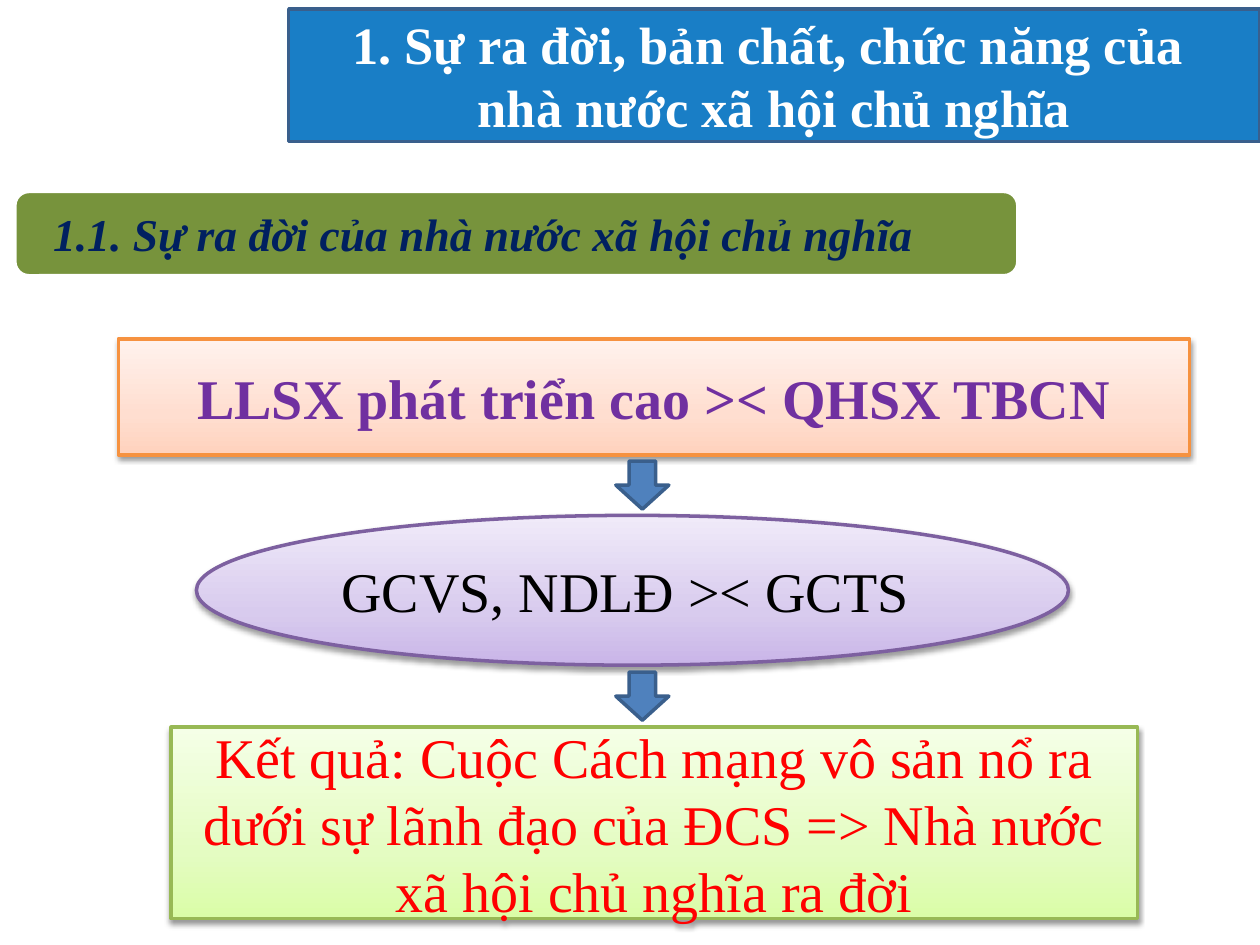
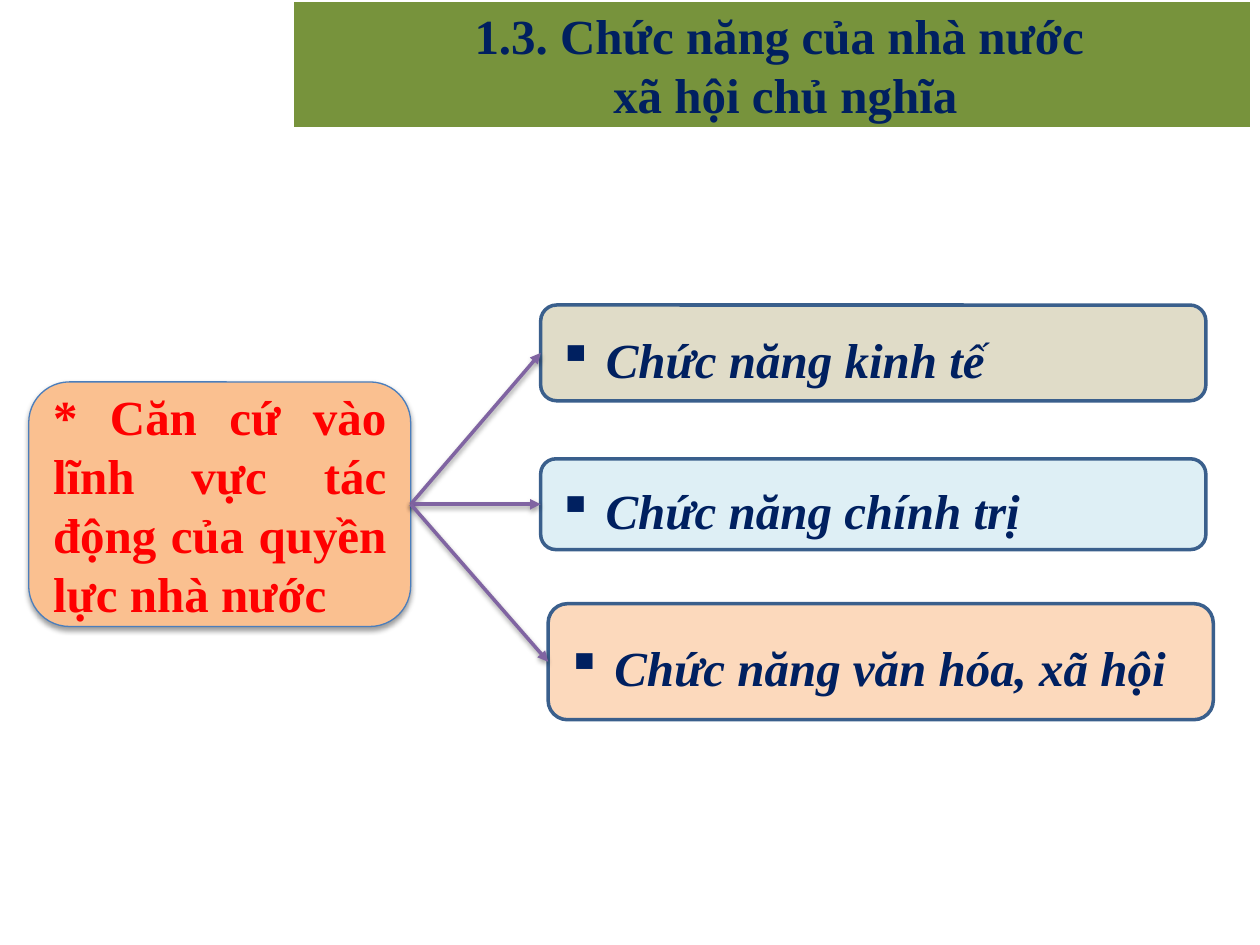
"""Builds two slides on the origin and functions of the socialist state."""
from copy import deepcopy
from dataclasses import dataclass

from lxml.etree import SubElement
from pptx import Presentation
from pptx.dml.color import RGBColor
from pptx.enum.shapes import MSO_CONNECTOR, MSO_SHAPE
from pptx.enum.text import MSO_ANCHOR, MSO_AUTO_SIZE, PP_ALIGN
from pptx.oxml.ns import qn
from pptx.util import Cm, Pt


@dataclass(frozen=True)
class Theme:
    font: str = "Times New Roman"
    blue: str = "0070C0"
    green: str = "77933C"
    white: str = "FFFFFF"
    black: str = "000000"
    navy: str = "002060"
    purple: str = "7030A0"
    red: str = "FF0000"
    outline: str = "3A5F8C"
    arrow: str = "4F81BD"
    link: str = "8064A2"
    cause_fill: str = "FAC090"
    cause_line: str = "4B7EBC"
    flow_size: int = 32
    banner_size: int = 30
    heading_size: int = 28
    section_size: int = 26
    line: float = 2


THEME = Theme()

BANNER = ("1. Sự ra đời, bản chất, chức năng của \nnhà nước xã hội chủ nghĩa", (5.82, 0.18, 19.58, 2.67))
SECTION = ("1.1. Sự ra đời của nhà nước xã hội chủ nghĩa", (0.3, 3.86, 20.22, 1.7))
FLOW = [
    dict(text="LLSX phát triển cao >< QHSX TBCN", outline=MSO_SHAPE.RECTANGLE,
         place=(2.39, 6.83, 21.59, 2.34), color=THEME.purple, bold=True,
         edge="F69240", shades=("FFD2BD", "FFDED0", "FFF2ED")),
    dict(text="GCVS, NDLĐ >< GCTS ", outline=MSO_SHAPE.OVAL,
         place=(3.96, 10.39, 17.58, 3.02), color=THEME.black, bold=False,
         edge="7D60A0", shades=("C9B5E8", "D8CBEE", "F0EAF9")),
    dict(text="Kết quả: Cuộc Cách mạng vô sản nổ ra dưới sự lãnh đạo của ĐCS => "
              "Nhà nước xã hội chủ nghĩa ra đời", outline=MSO_SHAPE.RECTANGLE,
         place=(3.45, 14.66, 19.48, 3.86), color=THEME.red, bold=False,
         edge="98B955", shades=("DAFDA7", "E4FCC2", "F5FFE7")),
]
SHADE_STOPS = (0, 0.35, 1)
ARROW_CENTER, ARROW_WIDTH, ARROW_HEIGHT = 12.95, 1.07, 0.97

HEADING = ("1.3. Chức năng của nhà nước \nxã hội chủ nghĩa", (5.89, 0, 19.35, 2.59))
CAUSE = ("* Căn cứ vào lĩnh vực tác động của quyền lực nhà nước", (0.58, 7.7, 7.7, 4.93))
FUNCTIONS = [
    ("Chức năng kinh tế", (10.9, 6.15, 13.41, 1.93), "DDD9C3"),
    ("Chức năng chính trị", (10.9, 9.25, 13.41, 1.83), "DBEEF4"),
    ("Chức năng văn hóa, xã hội", (11.05, 12.17, 13.41, 2.34), "FCD5B5"),
]
BULLET_INDENT = Cm(0.97)


def rgb(code):
    return RGBColor.from_string(code)


def paint(shape, fill, edge, width=THEME.line, alpha=None):
    shape.fill.solid()
    shape.fill.fore_color.rgb = rgb(fill)
    if alpha:
        tint = shape.element.spPr.find(qn("a:solidFill"))[0]
        SubElement(tint, qn("a:alpha"), val=str(alpha * 1000))
    shape.line.color.rgb = rgb(edge)
    shape.line.width = Pt(width)


def shade(shape, shades):
    shape.fill.gradient()
    shape.fill.gradient_angle = 90
    stop_list = shape.element.spPr.find(qn("a:gradFill")).find(qn("a:gsLst"))
    stop_list.append(deepcopy(stop_list[0]))
    for stop, position, code in zip(shape.fill.gradient_stops, SHADE_STOPS, shades):
        stop.position = position
        stop.color.rgb = rgb(code)


def add_shadow(effects):
    cast = SubElement(effects, qn("a:outerShdw"), blurRad=str(Pt(3.1)), dist=str(Pt(1.6)),
                      dir="5400000", rotWithShape="0")
    color = SubElement(cast, qn("a:srgbClr"), val=THEME.black)
    SubElement(color, qn("a:alpha"), val="38000")


def add_box(slide, outline, place, shadow=False):
    box = slide.shapes.add_shape(outline, *map(Cm, place))
    box.shadow.inherit = False
    if shadow:
        add_shadow(box.element.spPr.find(qn("a:effectLst")))
    return box


def write(shape, text, size, color, bold=True, italic=False, align=PP_ALIGN.CENTER, margins=None):
    frame = shape.text_frame
    frame.text = text
    frame.word_wrap = True
    frame.auto_size = MSO_AUTO_SIZE.NONE
    frame.vertical_anchor = MSO_ANCHOR.MIDDLE
    if margins:
        frame.margin_left, frame.margin_right = map(Cm, margins)
        frame.margin_top = frame.margin_bottom = 0
    for paragraph in frame.paragraphs:
        paragraph.alignment = align
        for run in paragraph.runs:
            run.font.name = THEME.font
            run.font.size = Pt(size)
            run.font.color.rgb = rgb(color)
            run.font.bold = bold
            run.font.italic = italic


def add_bullet(paragraph):
    properties = paragraph._p.get_or_add_pPr()
    properties.set("marL", str(BULLET_INDENT))
    properties.set("indent", str(-BULLET_INDENT))
    SubElement(properties, qn("a:buChar"), char="▪")
    paragraph.line_spacing = Pt(40)


def start_slide(deck, place):
    slide = deck.slides.add_slide(deck.slide_layouts[5])
    title = slide.shapes.title
    title.left, title.top, title.width, title.height = map(Cm, place)
    geometry = SubElement(title.element.spPr, qn("a:prstGeom"), prst="roundRect")
    SubElement(geometry, qn("a:avLst"))
    return slide, title


def link(slide, source, target):
    arrow = slide.shapes.add_connector(MSO_CONNECTOR.STRAIGHT, 0, 0, 0, 0)
    arrow.begin_connect(source, 3)
    arrow.end_connect(target, 1)
    arrow.line.color.rgb = rgb(THEME.link)
    arrow.line.width = Pt(THEME.line)
    SubElement(arrow.line._get_or_add_ln(), qn("a:tailEnd"), type="triangle")
    add_shadow(SubElement(arrow.element.spPr, qn("a:effectLst")))


def build_origin(deck):
    text, place = BANNER
    slide, banner = start_slide(deck, place)
    paint(banner, THEME.blue, THEME.outline, alpha=90)
    write(banner, text, THEME.banner_size, THEME.white)

    text, place = SECTION
    section = add_box(slide, MSO_SHAPE.ROUNDED_RECTANGLE, place)
    paint(section, THEME.green, THEME.white)
    write(section, text, THEME.section_size, THEME.navy, italic=True,
          align=PP_ALIGN.LEFT, margins=(0.69, 0.6))

    for step in FLOW:
        stage = add_box(slide, step["outline"], step["place"], shadow=True)
        shade(stage, step["shades"])
        stage.line.color.rgb = rgb(step["edge"])
        stage.line.width = Pt(THEME.line)
        write(stage, step["text"], THEME.flow_size, step["color"], bold=step["bold"])

    for upper, lower in zip(FLOW, FLOW[1:]):
        upper_bottom = upper["place"][1] + upper["place"][3]
        middle = (upper_bottom + lower["place"][1]) / 2
        arrow = add_box(slide, MSO_SHAPE.DOWN_ARROW,
                        (ARROW_CENTER - ARROW_WIDTH / 2, middle - ARROW_HEIGHT / 2,
                         ARROW_WIDTH, ARROW_HEIGHT))
        paint(arrow, THEME.arrow, THEME.outline)


def build_functions(deck):
    text, place = HEADING
    slide, heading = start_slide(deck, place)
    paint(heading, THEME.green, THEME.white)
    write(heading, text, THEME.heading_size, THEME.navy, margins=(0.86, 0.33))

    text, place = CAUSE
    cause = add_box(slide, MSO_SHAPE.ROUNDED_RECTANGLE, place, shadow=True)
    paint(cause, THEME.cause_fill, THEME.cause_line, width=0.75)
    write(cause, text, THEME.heading_size, THEME.red, align=PP_ALIGN.JUSTIFY)

    for text, place, fill in FUNCTIONS:
        function = add_box(slide, MSO_SHAPE.ROUNDED_RECTANGLE, place)
        paint(function, fill, THEME.outline, alpha=90)
        write(function, text, THEME.heading_size, THEME.navy, italic=True, align=PP_ALIGN.LEFT)
        add_bullet(function.text_frame.paragraphs[0])
        link(slide, cause, function)


def main():
    deck = Presentation()
    deck.slide_width, deck.slide_height = Cm(25.4), Cm(19.05)
    build_origin(deck)
    build_functions(deck)
    deck.save("out.pptx")


if __name__ == "__main__":
    main()
